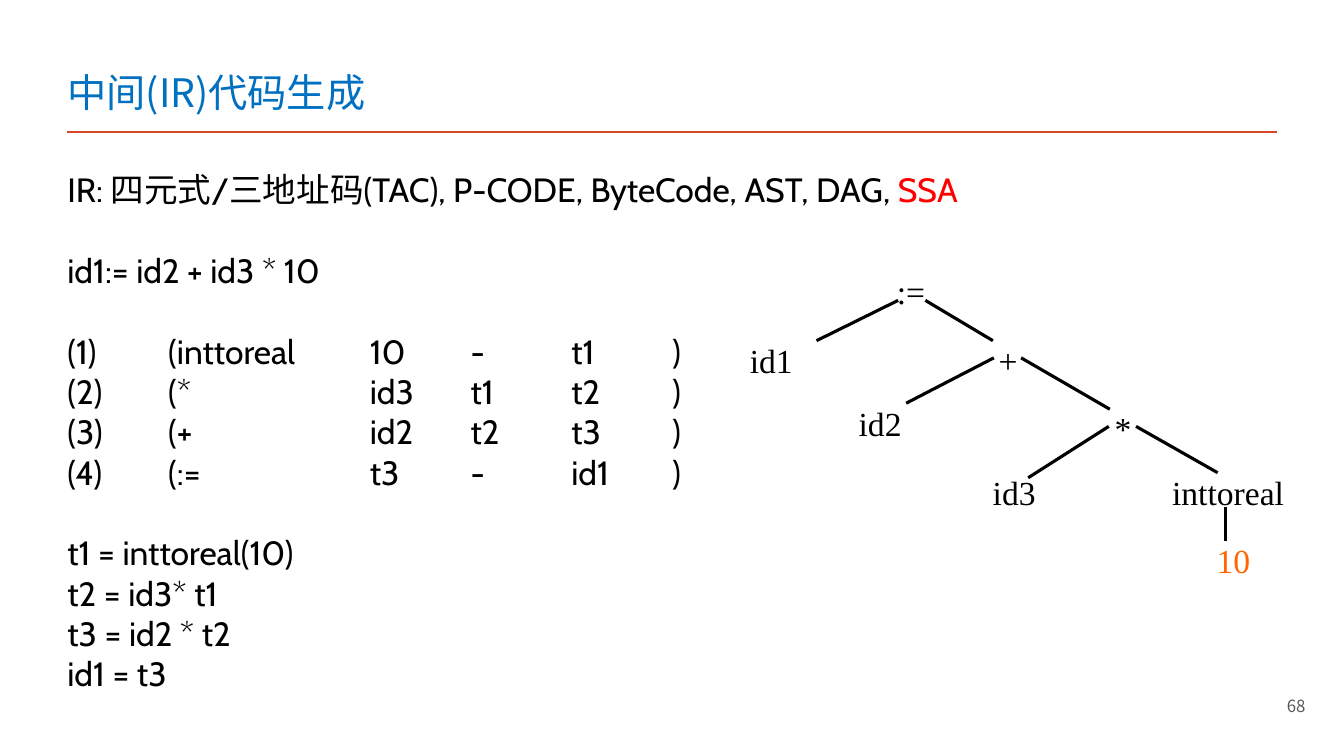
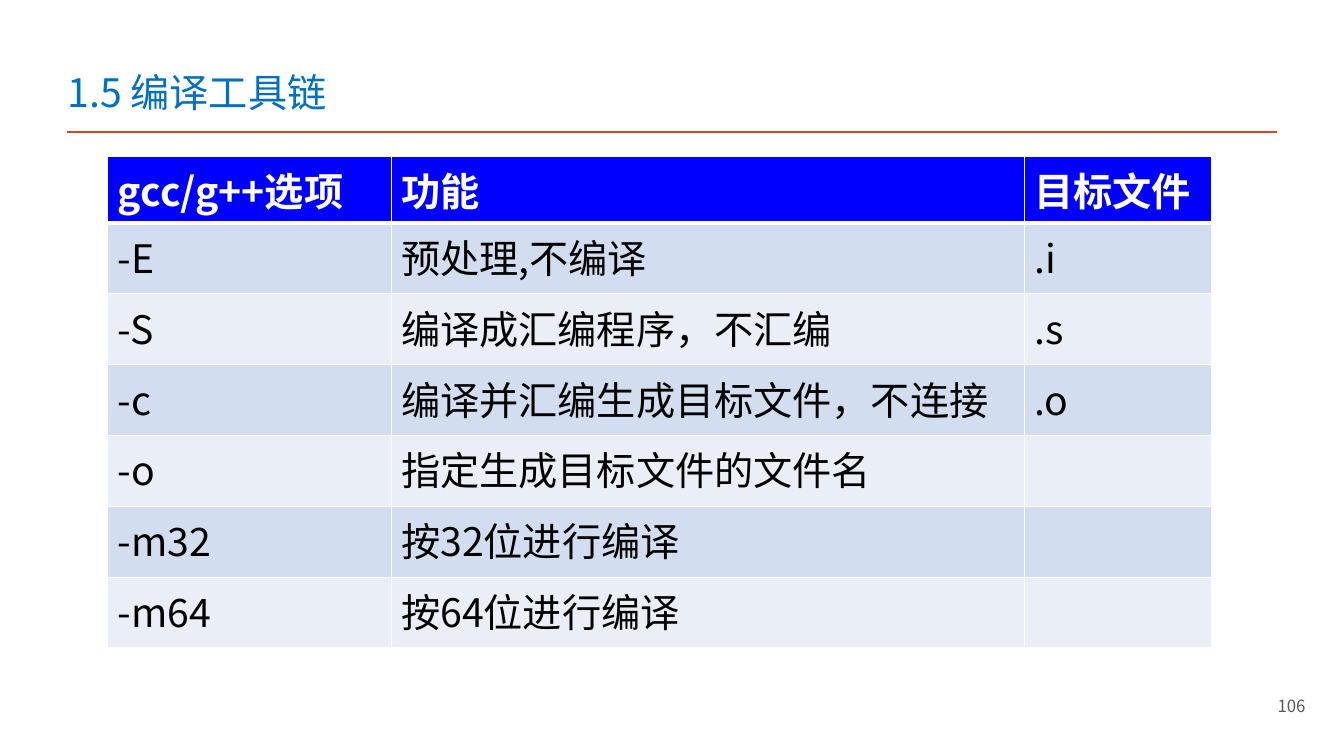
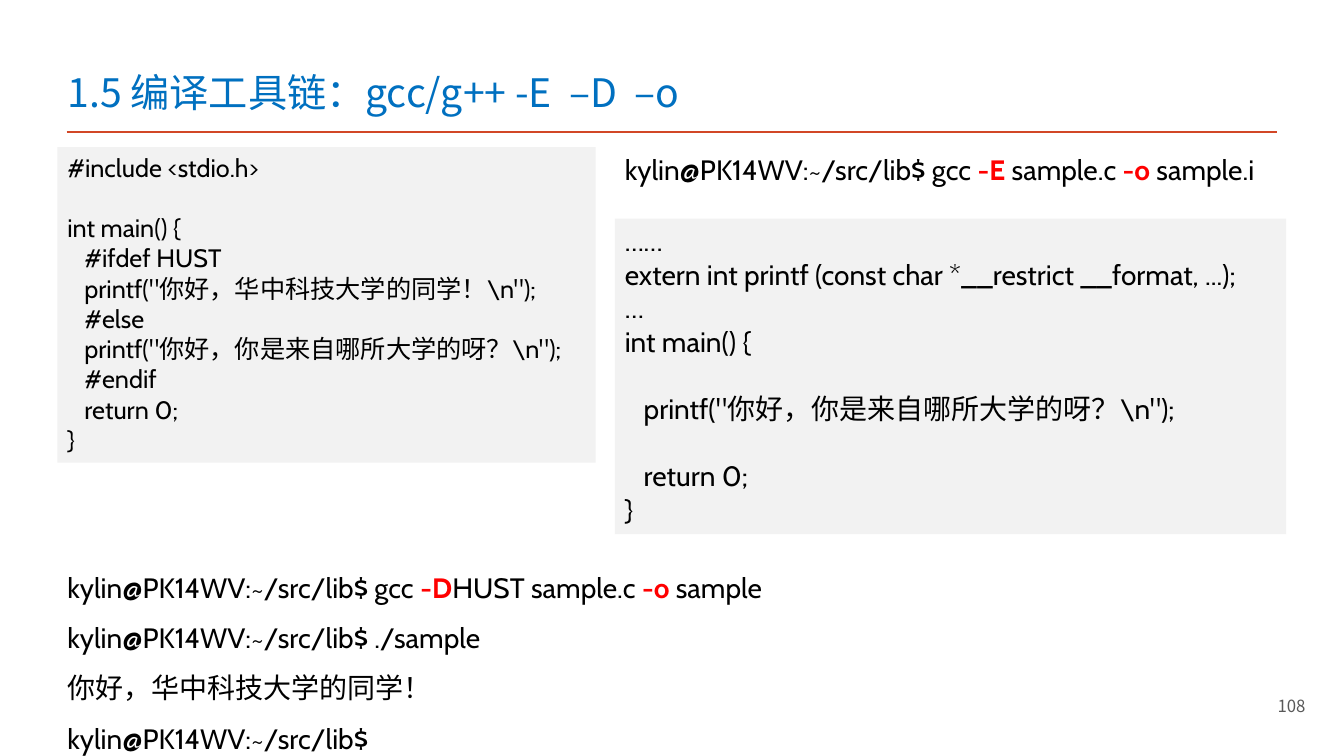
from dataclasses import dataclass
from typing import NamedTuple, Sequence

from lxml import etree
from pptx import Presentation
from pptx.dml.color import RGBColor
from pptx.enum import shapes, text
from pptx.oxml import ns
from pptx.util import Inches, Pt


@dataclass(frozen=True)
class Theme:
    cell: float = 0.1
    columns: float = 133.33
    rows: float = 75
    sans: str = "Noto Sans CJK SC"
    body: str = "Cabin"
    serif: str = "Times New Roman"
    title_blue: str = "0070C0"
    rule_orange: str = "D24726"
    ink: str = "000000"
    paper: str = "FFFFFF"
    muted: str = "595959"
    accent: str = "FF0000"
    leaf_orange: str = "FF6600"
    header_blue: str = "0000FF"
    band_dark: str = "D2DEEF"
    band_light: str = "EAEFF7"
    panel_gray: str = "F2F2F2"
    heading_size: float = 28
    text_size: float = 24
    shell_size: float = 20
    code_size: float = 18
    number_size: float = 12
    line_height: float = 1.2
    rule_width: float = 2
    edge_width: float = 2.25


THEME = Theme()


class Box(NamedTuple):
    left: float
    top: float
    width: float
    height: float


class Style(NamedTuple):
    size: float
    font: str = THEME.body
    color: str = THEME.ink
    bold: bool = False


class Part(NamedTuple):
    text: str
    color: str = ""
    bold: bool = False


class Node(NamedTuple):
    label: str
    left: float
    top: float
    width: float
    color: str = THEME.ink


class Edge(NamedTuple):
    x1: float
    y1: float
    x2: float
    y2: float


Line = str | Sequence[Part]

TITLE = Box(5.7, 4.9, 75.2, 7)
NUMBER = Box(91.6, 68, 38.9, 4)
RULE = Edge(6.6, 13.1, 126.7, 13.1)
NODE_HEIGHT = 5.1
QUAD_STOPS = (10, 30, 40, 50, 60)

IR_LINES: list[Line] = [
    [Part("IR: 四元式/三地址码(TAC), P-CODE, ByteCode, AST, DAG, "), Part("SSA", THEME.accent)],
    "",
    "id1:= id2 + id3 * 10",
    "",
    "(1)\t(inttoreal\t10\t-\tt1\t)",
    "(2)\t(*\tid3\tt1\tt2\t)",
    "(3)\t(+\tid2\tt2\tt3\t)",
    "(4)\t(:=\tt3\t-\tid1\t)",
    "",
    "t1 = inttoreal(10)",
    "t2 = id3* t1",
    "t3 = id2 * t2",
    "id1 = t3",
]

TREE_NODES = [
    Node(":=", 88, 26.4, 5.4),
    Node("id1", 73.4, 33.2, 13.4),
    Node("+", 98.1, 33.2, 5.4),
    Node("id2", 84.2, 39.5, 10.1),
    Node("*", 109.6, 40, 5.4),
    Node("id3", 97.5, 46.3, 7.4),
    Node("inttoreal", 115.3, 46.3, 13.3),
    Node("10", 119.7, 53.1, 6.1, THEME.leaf_orange),
]

TREE_EDGES = [
    Edge(81, 33.8, 89.1, 29.8),
    Edge(91.8, 29.8, 98.5, 33.8),
    Edge(98.6, 35.5, 89.9, 40),
    Edge(101.3, 35.5, 110.1, 40.6),
    Edge(112.7, 42.3, 120.8, 46.9),
    Edge(110, 42.3, 102, 47.4),
    Edge(121.6, 50.3, 121.6, 53.7),
]

OPTION_COLUMNS = (28.1, 62.8, 18.6)
OPTION_HEADER_HEIGHT = 6.5
OPTION_ROW_HEIGHT = 7.03
OPTIONS = [
    ("gcc/g++选项", "功能", "目标文件"),
    ("-E", "预处理,不编译", ".i"),
    ("-S", "编译成汇编程序，不汇编", ".s"),
    ("-c", "编译并汇编生成目标文件，不连接", ".o"),
    ("-o", "指定生成目标文件的文件名", ""),
    ("-m32", "按32位进行编译", ""),
    ("-m64", "按64位进行编译", ""),
]

PROMPT = "kylin@PK14WV:~/src/lib$"
GREETING = "你好，华中科技大学的同学！"
QUESTION = '   printf("你好，你是来自哪所大学的呀？\\n");'

SOURCE_CODE: list[Line] = [
    "#include <stdio.h>",
    "",
    "int main() {",
    "   #ifdef HUST",
    f'   printf("{GREETING}\\n");',
    "   #else",
    QUESTION,
    "   #endif",
    "   return 0;",
    "}",
]

EXPANDED_CODE: list[Line] = [
    "……",
    "extern int printf (const char *__restrict __format, ...);",
    "…",
    "int main() {",
    "",
    QUESTION,
    "",
    "   return 0;",
    "}",
]


def flag(option: str) -> Part:
    return Part(option, THEME.accent, True)


EXPAND_COMMAND: list[Line] = [
    [Part(f"{PROMPT} gcc "), flag("-E"), Part(" sample.c "), flag("-o"), Part(" sample.i")],
]

RUN_SESSION: list[Line] = [
    [Part(f"{PROMPT} gcc "), flag("-D"), Part("HUST sample.c "), flag("-o"), Part(" sample")],
    f"{PROMPT} ./sample",
    GREETING,
    PROMPT,
]


def cells(count: float) -> int:
    return Inches(count * THEME.cell)


def place(box: Box) -> tuple[int, ...]:
    return tuple(cells(length) for length in box)


def rgb(color: str) -> RGBColor:
    return RGBColor.from_string(color)


def add_run(paragraph, part: Part, style: Style) -> None:
    run = paragraph.add_run()
    run.text = part.text
    font = run.font
    font.name, font.size = style.font, Pt(style.size)
    font.bold = part.bold or style.bold
    font.color.rgb = rgb(part.color or style.color)
    east_asian = etree.SubElement(run._r.get_or_add_rPr(), ns.qn("a:ea"))
    east_asian.set("typeface", style.font)


def add_tab_stops(paragraph, stops: Sequence[float]) -> None:
    tab_list = etree.SubElement(paragraph._p.get_or_add_pPr(), ns.qn("a:tabLst"))
    for stop in stops:
        etree.SubElement(tab_list, ns.qn("a:tab"), pos=str(cells(stop)), algn="l")


def write(frame, lines: Sequence[Line], style: Style, align=text.PP_ALIGN.LEFT,
          stops: Sequence[float] = (), spacing: float = 0) -> None:
    frame.word_wrap = True
    frame.auto_size = text.MSO_AUTO_SIZE.NONE
    paragraph, gap = frame.paragraphs[0], False
    for index, line in enumerate(lines):
        if not line:
            gap = True
            continue
        if index:
            paragraph = frame.add_paragraph()
        if stops:
            add_tab_stops(paragraph, stops)
        paragraph.alignment = align
        if gap:
            paragraph.space_before = Pt(style.size * THEME.line_height)
        if spacing:
            paragraph.line_spacing = Pt(spacing)
        for part in [Part(line)] if isinstance(line, str) else line:
            add_run(paragraph, part, style)
        gap = False


def add_text(slide, box: Box, lines: Sequence[Line], style: Style,
             anchor=text.MSO_ANCHOR.TOP, **layout) -> None:
    frame = slide.shapes.add_textbox(*place(box)).text_frame
    frame.vertical_anchor = anchor
    write(frame, lines, style, **layout)


def add_panel(slide, box: Box, lines: Sequence[Line], style: Style) -> None:
    panel = slide.shapes.add_shape(shapes.MSO_SHAPE.RECTANGLE, *place(box))
    panel.shadow.inherit = False
    panel.fill.solid()
    panel.fill.fore_color.rgb = rgb(THEME.panel_gray)
    panel.line.fill.background()
    panel.text_frame.vertical_anchor = text.MSO_ANCHOR.TOP
    write(panel.text_frame, lines, style)


def add_edge(slide, edge: Edge, color: str, width: float) -> None:
    connector = slide.shapes.add_connector(
        shapes.MSO_CONNECTOR.STRAIGHT, *(cells(value) for value in edge))
    connector.line.color.rgb = rgb(color)
    connector.line.width = Pt(width)
    etree.SubElement(connector._element.spPr, ns.qn("a:effectLst"))


def add_border(properties, side: str, width: float) -> None:
    border = etree.SubElement(properties, ns.qn(f"a:ln{side}"), w=str(Pt(width)))
    fill = etree.SubElement(border, ns.qn("a:solidFill"))
    etree.SubElement(fill, ns.qn("a:srgbClr"), val=THEME.paper)


def start_slide(deck, title: str, number: int):
    slide = deck.slides.add_slide(deck.slide_layouts.get_by_name("Title Only"))
    heading = slide.shapes.title
    heading.left, heading.top, heading.width, heading.height = place(TITLE)
    heading.text_frame.vertical_anchor = text.MSO_ANCHOR.BOTTOM
    write(heading.text_frame, [title], Style(THEME.heading_size, THEME.sans, THEME.title_blue))
    add_edge(slide, RULE, THEME.rule_orange, THEME.rule_width)
    add_text(slide, NUMBER, [str(number)], Style(THEME.number_size, THEME.sans, THEME.muted),
             text.MSO_ANCHOR.MIDDLE, align=text.PP_ALIGN.RIGHT)
    return slide


def build_ir(deck) -> None:
    slide = start_slide(deck, "中间(IR)代码生成", 68)
    add_text(slide, Box(5.7, 16.3, 126.2, 53.5), IR_LINES, Style(THEME.text_size),
             stops=QUAD_STOPS)
    for node in TREE_NODES:
        add_text(slide, Box(node.left, node.top, node.width, NODE_HEIGHT), [node.label],
                 Style(THEME.text_size, THEME.serif, node.color))
    for edge in TREE_EDGES:
        add_edge(slide, edge, THEME.ink, THEME.edge_width)


def build_options(deck) -> None:
    slide = start_slide(deck, "1.5 编译工具链", 106)
    height = OPTION_HEADER_HEIGHT + OPTION_ROW_HEIGHT * (len(OPTIONS) - 1)
    area = Box(10.7, 15.5, sum(OPTION_COLUMNS), height)
    table = slide.shapes.add_table(len(OPTIONS), len(OPTION_COLUMNS), *place(area)).table
    for column, width in zip(table.columns, OPTION_COLUMNS):
        column.width = cells(width)
    for row, option in enumerate(OPTIONS):
        header = row == 0
        table.rows[row].height = cells(OPTION_HEADER_HEIGHT if header else OPTION_ROW_HEIGHT)
        band = THEME.band_dark if row % 2 else THEME.band_light
        style = Style(THEME.heading_size, THEME.sans, THEME.paper if header else THEME.ink, header)
        widths = {"L": 1, "R": 1, "T": 3 if row == 1 else 1, "B": 3 if header else 1}
        for column, entry in enumerate(option):
            cell = table.cell(row, column)
            for side, width in widths.items():
                add_border(cell._tc.get_or_add_tcPr(), side, width)
            cell.fill.solid()
            cell.fill.fore_color.rgb = rgb(THEME.header_blue if header else band)
            if entry:
                add_run(cell.text_frame.paragraphs[0], Part(entry), style)


def build_preprocessing(deck) -> None:
    slide = start_slide(deck, "1.5 编译工具链：gcc/g++ -E  –D  –o", 108)
    shell = Style(THEME.shell_size)
    add_panel(slide, Box(5.7, 14.6, 53.4, 31.3), SOURCE_CODE, Style(THEME.code_size))
    add_text(slide, Box(61, 14.6, 69.5, 4.4), EXPAND_COMMAND, shell)
    add_panel(slide, Box(61, 21.7, 66.6, 31.3), EXPANDED_CODE, shell)
    add_text(slide, Box(5.7, 54.4, 87.9, 20.6), RUN_SESSION, shell, spacing=36)


def main() -> None:
    deck = Presentation()
    deck.slide_width, deck.slide_height = cells(THEME.columns), cells(THEME.rows)
    for build in (build_ir, build_options, build_preprocessing):
        build(deck)
    deck.save("out.pptx")


if __name__ == "__main__":
    main()
